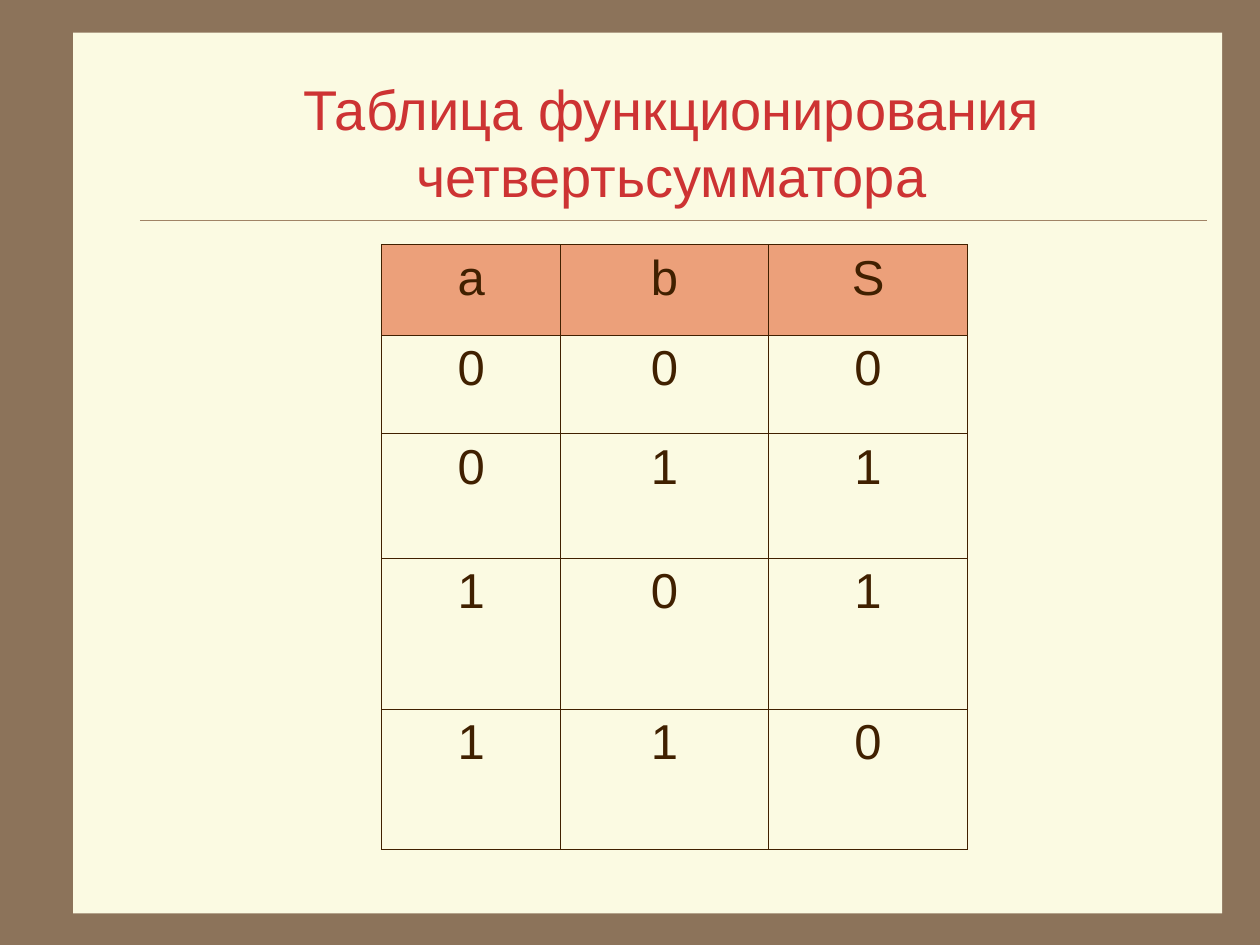
from dataclasses import dataclass
from itertools import product

from lxml.etree import SubElement
from pptx import Presentation
from pptx.dml.color import RGBColor
from pptx.enum.shapes import MSO_CONNECTOR, MSO_SHAPE
from pptx.enum.text import MSO_ANCHOR, PP_ALIGN
from pptx.oxml.ns import qn
from pptx.util import Inches, Pt


@dataclass(frozen=True)
class Theme:
    """Colours, font and type sizes of the slide."""
    frame: str = "8C735A"
    paper: str = "FBFAE2"
    rule: str = "A08366"
    heading: str = "CD3333"
    ink: str = "402000"
    header: str = "ECA07A"
    font: str = "Arial"
    heading_size: int = 32
    cell_size: int = 28
    rule_width: float = 0.26
    border_width: float = 0.45


THEME = Theme()


def rgb(colour):
    """Turn a hex string into a colour."""
    return RGBColor.from_string(colour)


def write(frame, words, size, colour, space_before=0):
    """Write one centred run into a text frame."""
    paragraph = frame.paragraphs[0]
    paragraph.alignment = PP_ALIGN.CENTER
    paragraph.space_before = Pt(space_before)
    run = paragraph.add_run()
    run.text = words
    run.font.name = THEME.font
    run.font.size = Pt(size)
    run.font.color.rgb = rgb(colour)


def draw_border(cell):
    """Outline all four sides of a table cell."""
    properties = cell._tc.get_or_add_tcPr()
    for side in ("a:lnL", "a:lnR", "a:lnT", "a:lnB"):
        edge = SubElement(properties, qn(side), w=str(int(Pt(THEME.border_width))))
        fill = SubElement(edge, qn("a:solidFill"))
        SubElement(fill, qn("a:srgbClr"), val=THEME.ink)


def add_paper(slide, left, top, width, height):
    """Lay the pale sheet over the brown background."""
    slide.background.fill.solid()
    slide.background.fill.fore_color.rgb = rgb(THEME.frame)
    paper = slide.shapes.add_shape(MSO_SHAPE.RECTANGLE, left, top, width, height)
    paper.shadow.inherit = False
    paper.fill.solid()
    paper.fill.fore_color.rgb = rgb(THEME.paper)
    paper.line.fill.background()


def add_heading(slide, left, top, width, height, words):
    """Place the heading with a thin rule along its bottom edge."""
    bottom = top + height
    rule = slide.shapes.add_connector(
        MSO_CONNECTOR.STRAIGHT, left + Inches(0.03), bottom, left + width, bottom)
    rule.line.color.rgb = rgb(THEME.rule)
    rule.line.width = Pt(THEME.rule_width)
    SubElement(rule._element.spPr, qn("a:effectLst"))
    frame = slide.shapes.add_textbox(left, top, width, height).text_frame
    frame.word_wrap = True
    frame.vertical_anchor = MSO_ANCHOR.MIDDLE
    write(frame, words, THEME.heading_size, THEME.heading)


def add_truth_table(slide, left, top, widths, heights):
    """Tabulate the sum of two bits without carry."""
    rows = [("a", "b", "S")] + [(a, b, a ^ b) for a, b in product((0, 1), repeat=2)]
    table = slide.shapes.add_table(
        len(rows), len(widths), left, top, sum(widths), sum(heights)).table
    table.horz_banding = False
    for column, width in zip(table.columns, widths):
        column.width = width
    for index, (row, height, values) in enumerate(zip(table.rows, heights, rows)):
        row.height = height
        for cell, value in zip(row.cells, values):
            draw_border(cell)
            if index == 0:
                cell.fill.solid()
                cell.fill.fore_color.rgb = rgb(THEME.header)
            else:
                cell.fill.background()
            write(cell.text_frame, str(value), THEME.cell_size, THEME.ink, 7)


def build():
    """Build and save the presentation."""
    deck = Presentation()
    deck.slide_width, deck.slide_height = Inches(10), Inches(7.5)
    slide = deck.slides.add_slide(deck.slide_layouts[6])
    add_paper(slide, Inches(0.58), Inches(0.26), Inches(9.12), Inches(6.99))
    add_heading(slide, Inches(1.08), Inches(0.5), Inches(8.5), Inches(1.25),
                "Таблица функционирования четвертьсумматора")
    add_truth_table(slide, Inches(3.03), Inches(1.94),
                    [Inches(w) for w in (1.42, 1.65, 1.58)],
                    [Inches(h) for h in (0.72, 0.78, 0.99, 1.2, 1.11)])
    deck.save("out.pptx")


build()
